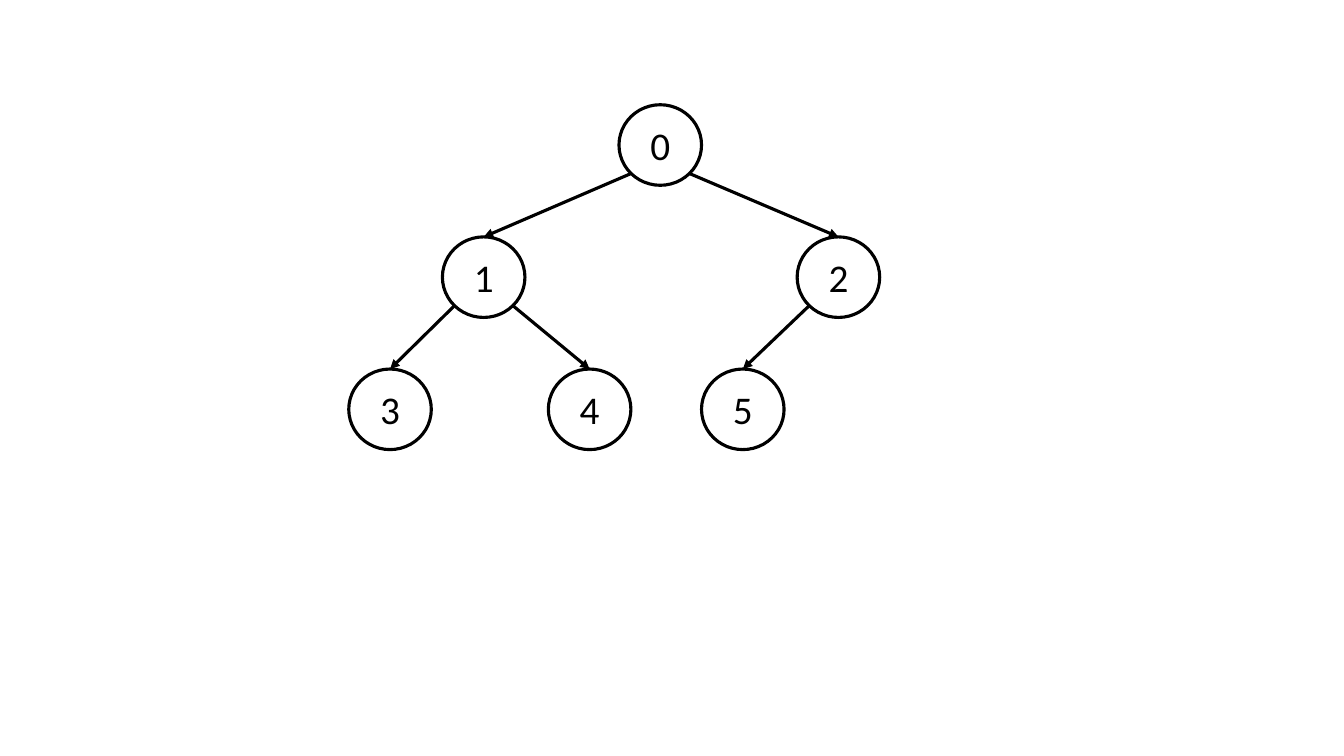
"""Draw a binary heap of six numbered nodes with arrows from parent to child."""
from math import sqrt

from lxml import etree
from pptx import Presentation
from pptx.dml.color import RGBColor
from pptx.enum.shapes import MSO_CONNECTOR, MSO_SHAPE
from pptx.enum.text import MSO_ANCHOR, PP_ALIGN
from pptx.oxml.ns import qn
from pptx.util import Cm, Pt

MIDS = [16.64, 12.19, 21.13, 9.83, 14.86, 18.72]
TOP, STEP = 2.64, 3.33
WIDE, HIGH = 2.08, 2.03

BLACK = RGBColor(0, 0, 0)
OVAL = MSO_SHAPE.OVAL
STRAIGHT = MSO_CONNECTOR.STRAIGHT
MIDDLE = MSO_ANCHOR.MIDDLE
CENTER = PP_ALIGN.CENTER


def level_top(index):
    """Return the top of a node from its level in the heap."""
    level = (index + 1).bit_length() - 1
    return TOP + level * STEP


def set_line(shape):
    """Give a node or an arrow its black outline."""
    shape.line.color.rgb = BLACK
    shape.line.width = Pt(2.25)


def add_node(slide, index):
    """Add one numbered circle."""
    node = slide.shapes.add_shape(
        OVAL, Cm(MIDS[index] - WIDE / 2), Cm(level_top(index)), Cm(WIDE), Cm(HIGH))
    node.shadow.inherit = False
    node.fill.background()
    set_line(node)
    frame = node.text_frame
    frame.text = str(index)
    frame.vertical_anchor = MIDDLE
    para = frame.paragraphs[0]
    para.alignment = CENTER
    font = para.runs[0].font
    font.name = "Calibri"
    font.size = Pt(28)
    font.color.rgb = BLACK


def add_arrow(slide, child):
    """Add the arrow from the parent's lower side to the child's top."""
    parent = (child - 1) // 2
    side = -1 if child % 2 else 1
    start_x = MIDS[parent] + side * WIDE / 2 / sqrt(2)
    start_y = level_top(parent) + HIGH / 2 * (1 + 1 / sqrt(2))
    arrow = slide.shapes.add_connector(
        STRAIGHT, Cm(start_x), Cm(start_y), Cm(MIDS[child]), Cm(level_top(child)))
    set_line(arrow)
    line = arrow.line._get_or_add_ln()
    etree.SubElement(line, qn("a:tailEnd"), type="triangle")
    etree.SubElement(arrow._element.spPr, qn("a:effectLst"))


def main():
    """Build and save the slide."""
    deck = Presentation()
    deck.slide_width, deck.slide_height = Cm(33.87), Cm(19.05)
    slide = deck.slides.add_slide(deck.slide_layouts[6])
    for index in range(len(MIDS)):
        add_node(slide, index)
    for child in range(1, len(MIDS)):
        add_arrow(slide, child)
    deck.save("out.pptx")


if __name__ == "__main__":
    main()
